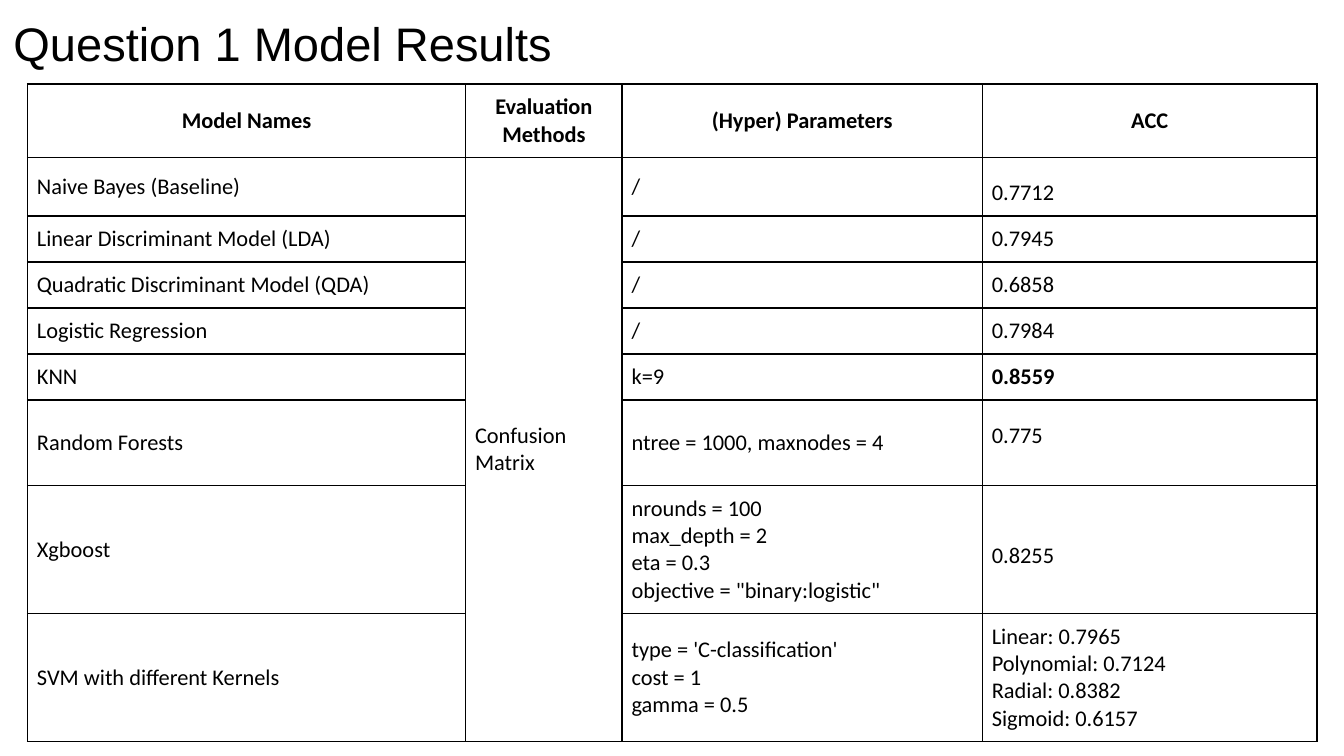
import lxml.etree
import pptx
import pptx.dml.color
import pptx.enum.text
import pptx.oxml.ns
import pptx.util

ANCHOR = pptx.enum.text.MSO_ANCHOR
ALIGN = pptx.enum.text.PP_ALIGN


def color(hex_string):
    return pptx.dml.color.RGBColor.from_string(hex_string)


class Deck:
    INK = "000000"
    PAPER = "FFFFFF"
    TITLE_FONT, TITLE_SIZE = "Arial", 25.2
    CELL_FONT, CELL_SIZE = "Calibri", 12
    GRID_COLUMNS = 100
    INSET = 0.7
    BORDER = 1

    def __init__(self):
        self.prs = pptx.Presentation()
        self.prs.slide_width = pptx.util.Inches(10)
        self.prs.slide_height = pptx.util.Inches(10 * 9 / 16)
        self.slide = self.prs.slides.add_slide(self.prs.slide_layouts[5])
        self.slide.background.fill.solid()
        self.slide.background.fill.fore_color.rgb = color(self.PAPER)

    def grid(self, n):
        return pptx.util.Emu(round(n * self.prs.slide_width / self.GRID_COLUMNS))

    def format(self, p, font, size, bold=False, align=ALIGN.LEFT):
        p.alignment = align
        for r in p.runs:
            r.font.name = font
            r.font.size = pptx.util.Pt(size)
            r.font.bold = bold
            r.font.color.rgb = color(self.INK)

    def title(self, text, left, top, width, height):
        sp = self.slide.shapes.title
        sp.left, sp.top, sp.width, sp.height = map(self.grid, (left, top, width, height))
        tf = sp.text_frame
        tf.text = text
        tf.word_wrap = True
        tf.auto_size = pptx.enum.text.MSO_AUTO_SIZE.NONE
        tf.vertical_anchor = ANCHOR.BOTTOM
        tf.margin_left = tf.margin_right = tf.margin_top = tf.margin_bottom = self.grid(1)
        self.format(tf.paragraphs[0], self.TITLE_FONT, self.TITLE_SIZE)

    def borders(self, cell):
        props = cell._tc.get_or_add_tcPr()
        qn = pptx.oxml.ns.qn
        for i, side in enumerate(("lnL", "lnR", "lnT", "lnB")):
            line = lxml.etree.Element(qn("a:" + side), w=str(pptx.util.Pt(self.BORDER)))
            fill = lxml.etree.SubElement(line, qn("a:solidFill"))
            lxml.etree.SubElement(fill, qn("a:srgbClr"), val=self.INK)
            props.insert(i, line)

    def cell(self, cell, text, bold=False, align=ALIGN.LEFT, spacing=None):
        cell.fill.background()
        cell.vertical_anchor = ANCHOR.MIDDLE
        cell.margin_left = cell.margin_right = self.grid(self.INSET)
        cell.margin_top = cell.margin_bottom = self.grid(self.INSET)
        cell.text_frame.text = text
        for p in cell.text_frame.paragraphs:
            self.format(p, self.CELL_FONT, self.CELL_SIZE, bold, align)
            p.line_spacing = spacing
        self.borders(cell)

    def table(self, rows, left, top, widths, heights, bold=(), loose=()):
        frame = self.slide.shapes.add_table(
            len(rows), len(widths), self.grid(left), self.grid(top),
            self.grid(sum(widths)), self.grid(sum(heights)))
        table = frame.table
        table.first_row = table.horz_banding = False
        for column, width in zip(table.columns, widths):
            column.width = self.grid(width)
        for row, height in zip(table.rows, heights):
            row.height = self.grid(height)
        for i, texts in enumerate(rows):
            for j, text in enumerate(texts):
                self.cell(table.cell(i, j), text,
                          bold=i == 0 or (i, j) in bold,
                          align=ALIGN.CENTER if i == 0 else ALIGN.LEFT,
                          spacing=1.45 if (i, j) in loose else None)
        return table

    def save(self):
        self.prs.save("out.pptx")


RESULTS = [
    ("Model Names", "Evaluation Methods", "(Hyper) Parameters", "ACC"),
    ("Naive Bayes (Baseline)", "Confusion Matrix", "/", "0.7712"),
    ("Linear Discriminant Model (LDA)", "", "/", "0.7945"),
    ("Quadratic Discriminant Model (QDA)", "", "/", "0.6858"),
    ("Logistic Regression", "", "/", "0.7984"),
    ("KNN", "", "k=9", "0.8559"),
    ("Random Forests", "", "ntree = 1000, maxnodes = 4", "0.775"),
    ("Xgboost", "",
     'nrounds = 100\nmax_depth = 2\neta = 0.3\nobjective = "binary:logistic"', "0.8255"),
    ("SVM with different Kernels", "", "type = 'C-classification'\ncost = 1\ngamma = 0.5",
     "Linear: 0.7965\nPolynomial: 0.7124\nRadial: 0.8382\nSigmoid: 0.6157"),
]


def main():
    deck = Deck()
    deck.title("Question 1 Model Results", 0, 0, 93.2, 6.25)
    table = deck.table(
        RESULTS, 2.05, 6.25,
        widths=[32.6, 11.65, 26.8, 24.9],
        heights=[5.45, 4.35] + [3.41] * 4 + [6.36, 9.5, 9.5],
        bold={(5, 3)}, loose={(1, 3), (6, 3), (7, 3)})
    table.cell(1, 1).merge(table.cell(len(RESULTS) - 1, 1))
    table.cell(6, 3).margin_bottom = deck.grid(2.6)
    deck.save()


if __name__ == "__main__":
    main()
